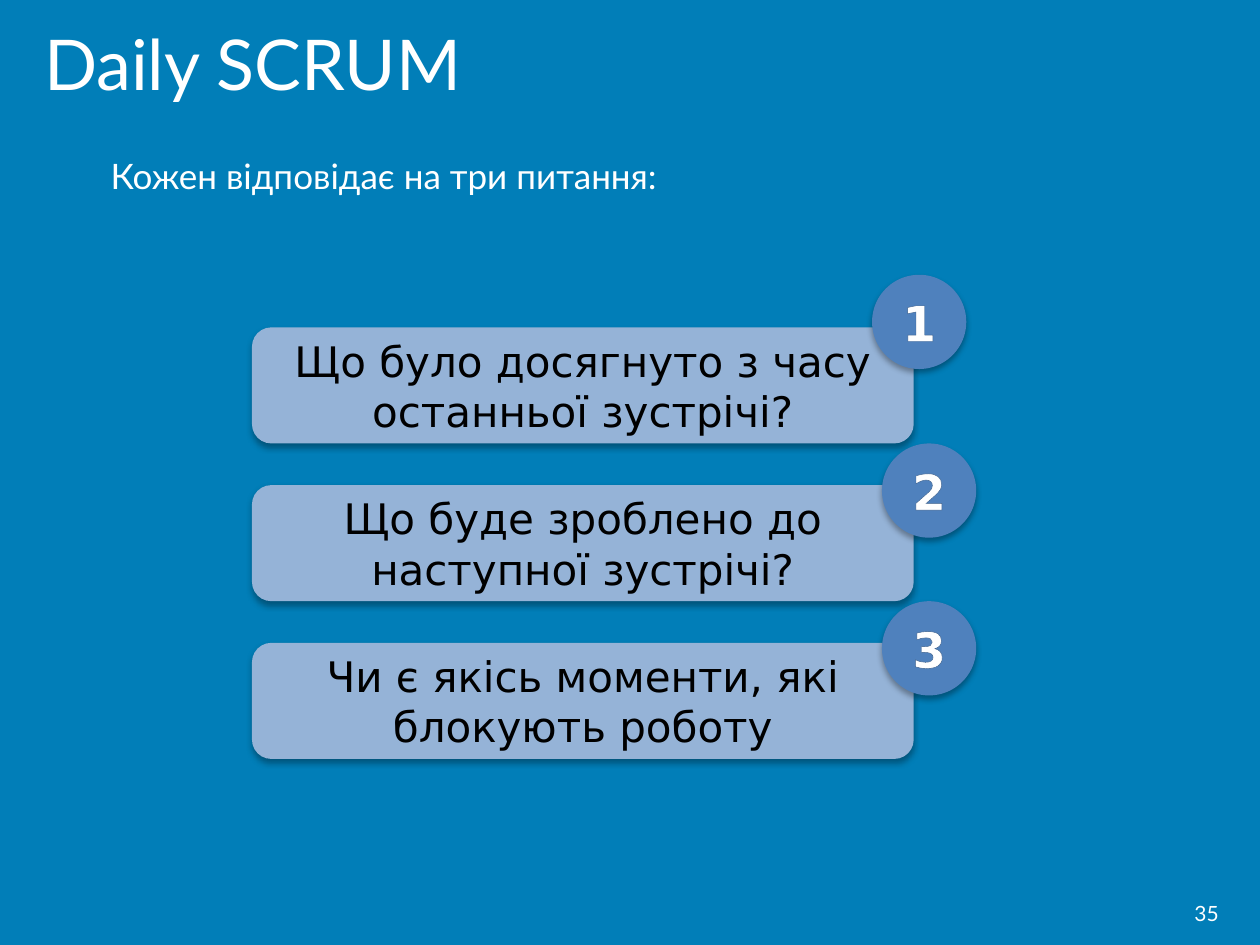
from lxml.etree import SubElement
from pptx import Presentation
from pptx.dml.color import RGBColor
from pptx.enum.shapes import MSO_SHAPE
from pptx.enum.text import MSO_ANCHOR, PP_ALIGN
from pptx.oxml import parse_xml
from pptx.oxml.ns import nsdecls, qn
from pptx.util import Cm, Pt

WHITE, BLACK = "FFFFFF", "000000"
BACKGROUND, CARD, BADGE, BADGE_OUTLINE = "017EB8", "95B3D7", "4F81BD", "3A5F8C"

CARD_FORMAT = {"name": "DejaVu Sans", "size": Pt(24)}
BADGE_FORMAT = {"name": "DejaVu Sans", "size": Pt(28), "bold": True}

CARD_LEFT, CARD_TOP, CARD_WIDTH, CARD_HEIGHT = 5.08, 6.6, 13.34, 2.34
CARD_STEP = 3.18
BADGE_SIZE = 1.9

# Question, then the left and top of its number badge
QUESTIONS = [
    ("Що було досягнуто з часу останньої зустрічі?", 17.58, 5.54),
    ("Що буде зроблено до наступної зустрічі?", 17.78, 8.94),
    ("Чи є якісь моменти, які блокують роботу", 17.78, 12.12),
]


def paint(target, color):
    target.solid()
    target.fore_color.rgb = RGBColor.from_string(color)


def write(owner, words, values, color, align, anchor=MSO_ANCHOR.MIDDLE):
    frame = owner.text_frame
    frame.word_wrap = True
    frame.vertical_anchor = anchor
    line = frame.paragraphs[0]
    line.alignment = align
    run = line.add_run()
    run.text = words
    for key, value in values.items():
        setattr(run.font, key, value)
    paint(run.font.fill, color)
    return run


def add_label(slide, box, words, size, align=PP_ALIGN.LEFT, anchor=MSO_ANCHOR.MIDDLE):
    label = slide.shapes.add_textbox(*map(Cm, box))
    write(label, words, {"name": "Lato", "size": Pt(size)}, WHITE, align, anchor)


def add_soft_shadow(shape):
    shape.shadow.inherit = False
    effects = shape._element.spPr.find(qn("a:effectLst"))
    shadow = SubElement(effects, qn("a:outerShdw"), blurRad=str(Pt(3.5)),
                        dist=str(Pt(2.2)), dir="5400000", rotWithShape="0")
    tint = SubElement(shadow, qn("a:srgbClr"), val=BLACK)
    SubElement(tint, qn("a:alpha"), val="32000")


def add_raised_shape(slide, kind, box, fill):
    shape = slide.shapes.add_shape(kind, *map(Cm, box))
    paint(shape.fill, fill)
    shape.line.fill.background()
    add_soft_shadow(shape)
    return shape


def add_card(slide, index, question):
    box = (CARD_LEFT, CARD_TOP + index * CARD_STEP, CARD_WIDTH, CARD_HEIGHT)
    card = add_raised_shape(slide, MSO_SHAPE.FLOWCHART_ALTERNATE_PROCESS, box, CARD)
    write(card, question, CARD_FORMAT, BLACK, PP_ALIGN.CENTER)


def add_badge(slide, number, left, top):
    box = (left, top, BADGE_SIZE, BADGE_SIZE)
    badge = add_raised_shape(slide, MSO_SHAPE.OVAL, box, BADGE)
    digit = write(badge, str(number), BADGE_FORMAT, WHITE, PP_ALIGN.CENTER)
    # Thin outline around the digit
    digit.font._element.insert(0, parse_xml(
        f'<a:ln {nsdecls("a")} w="{Pt(0.75)}"><a:solidFill>'
        f'<a:srgbClr val="{BADGE_OUTLINE}"/></a:solidFill></a:ln>'))


def main():
    deck = Presentation()
    deck.slide_width, deck.slide_height = Cm(25.4), Cm(19.05)
    slide = deck.slides.add_slide(deck.slide_layouts[6])
    paint(slide.background.fill, BACKGROUND)

    # Page number, heading and lead-in
    add_label(slide, (18.9, 17.91, 5.92, 0.99), "35", 12, PP_ALIGN.RIGHT)
    add_label(slide, (0.64, 0, 22.86, 2.54), "Daily SCRUM", 40)
    add_label(slide, (1.98, 3, 22.15, 4.37), "Кожен відповідає на три питання:",
              20, anchor=MSO_ANCHOR.TOP)

    # Questions, with their numbers in front
    for index, (question, _, _) in enumerate(QUESTIONS):
        add_card(slide, index, question)
    for number, (_, left, top) in enumerate(QUESTIONS, start=1):
        add_badge(slide, number, left, top)

    deck.save("out.pptx")


if __name__ == "__main__":
    main()
